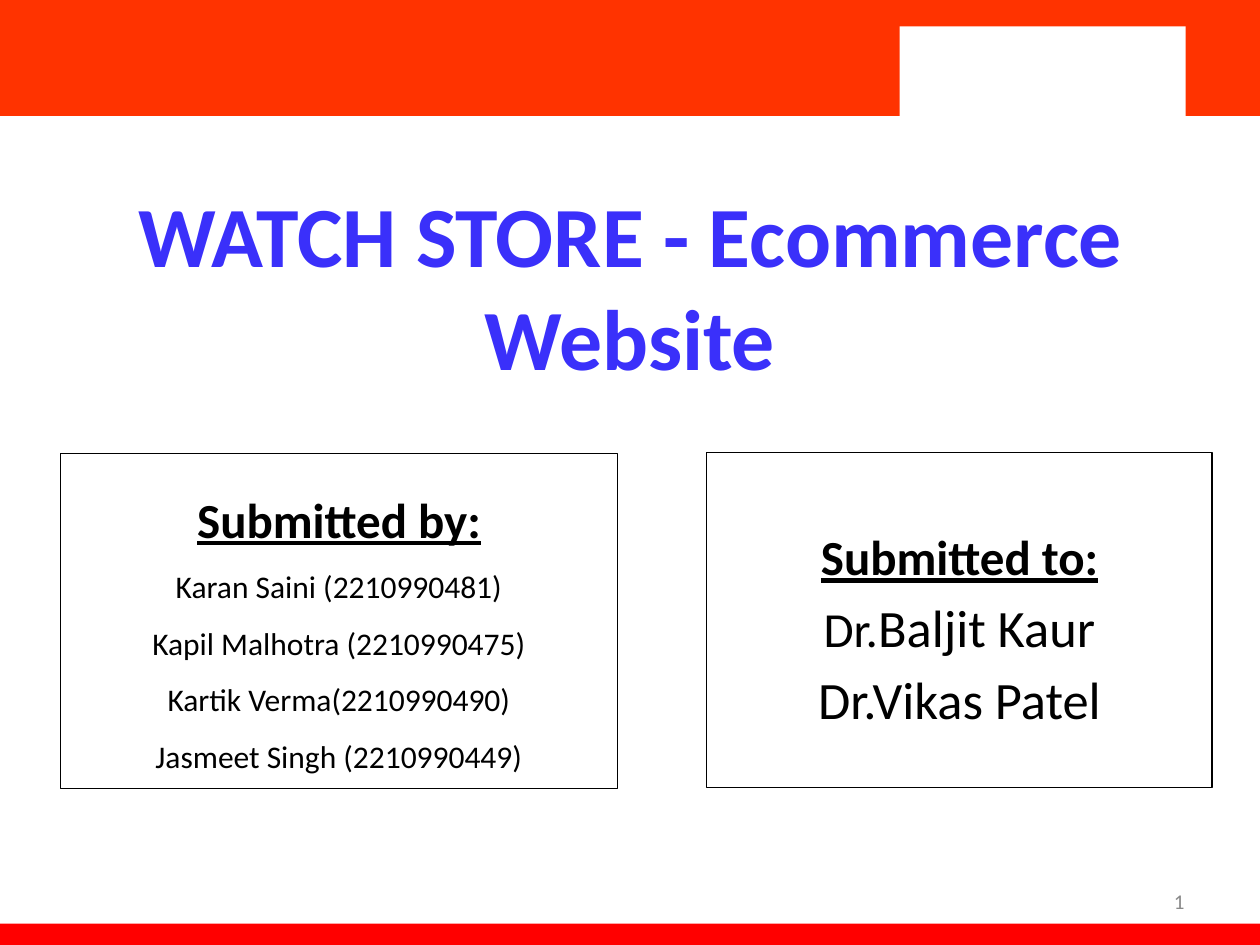
from dataclasses import dataclass

import pptx
import pptx.dml.color
import pptx.enum.shapes
import pptx.enum.text
import pptx.oxml
import pptx.util

RGBColor = pptx.dml.color.RGBColor
Align = pptx.enum.text.PP_ALIGN
Anchor = pptx.enum.text.MSO_ANCHOR

PX = 9144  # 100 px to the inch
FONT = "Calibri"
ORANGE = RGBColor(0xFF, 0x33, 0x00)
RED = RGBColor(0xFF, 0x00, 0x00)
WHITE = RGBColor(0xFF, 0xFF, 0xFF)
BLACK = RGBColor(0x00, 0x00, 0x00)
BLUE = RGBColor(0x3A, 0x30, 0xFA)
GRAY = RGBColor(0x89, 0x89, 0x89)


@dataclass(frozen=True)
class Box:
    left: int
    top: int
    width: int
    height: int

    def emu(self) -> list[int]:
        return [n * PX for n in (self.left, self.top, self.width, self.height)]


@dataclass(frozen=True)
class Band:
    box: Box
    color: RGBColor


@dataclass(frozen=True)
class Line:
    text: str
    size: int
    head: bool = False
    lead: str = ""  # opening words, set at lead_size
    lead_size: int = 28


@dataclass(frozen=True)
class Panel:
    box: Box
    inset: int
    spacing: float
    lines: list[Line]


BANDS = [
    Band(Box(0, 0, 1000, 92), ORANGE),
    Band(Box(0, 733, 1000, 17), RED),
    Band(Box(714, 21, 227, 75), WHITE),
]
PANELS = [
    Panel(Box(48, 360, 442, 266), 5, 1.5, [
        Line("Submitted by:", 28, head=True),
        Line("Karan Saini (2210990481)", 18),
        Line("Kapil Malhotra (2210990475)", 18),
        Line("Kartik Verma(2210990490)", 18),
        Line("Jasmeet Singh (2210990449)", 18),
    ]),
    Panel(Box(561, 359, 401, 266), 52, 1.15, [
        Line("Submitted to:", 28, head=True),
        Line("Baljit Kaur", 30, lead="Dr."),
        Line("Dr.Vikas Patel", 30),
    ]),
]


def style(font, size: int, color: RGBColor, bold: bool = False) -> None:
    font.name = FONT
    font.size = pptx.util.Pt(size)
    font.color.rgb = color
    font.bold = bold


def add_rect(slide, box: Box):
    rect = slide.shapes.add_shape(
        pptx.enum.shapes.MSO_SHAPE.RECTANGLE, *box.emu())
    rect.shadow.inherit = False
    return rect


def draw_band(slide, band: Band) -> None:
    rect = add_rect(slide, band.box)
    rect.fill.solid()
    rect.fill.fore_color.rgb = band.color
    rect.line.fill.background()


def draw_panel(slide, panel: Panel) -> None:
    rect = add_rect(slide, panel.box)
    rect.fill.background()
    rect.line.color.rgb = BLACK
    rect.line.width = pptx.util.Pt(0.75)
    frame = rect.text_frame
    frame.word_wrap = True
    frame.vertical_anchor = Anchor.TOP
    frame.margin_top = panel.inset * PX
    for i, line in enumerate(panel.lines):
        para = frame.add_paragraph() if i else frame.paragraphs[0]
        para.alignment = Align.CENTER
        para.line_spacing = panel.spacing
        style(para.font, line.size, BLACK, line.head)
        para.font.underline = line.head
        if line.lead:
            lead = para.add_run()
            lead.text = line.lead
            lead.font.size = pptx.util.Pt(line.lead_size)
        para.add_run().text = line.text


def set_title(slide, text: str, box: Box) -> None:
    title = slide.shapes.title
    title.left, title.top, title.width, title.height = box.emu()
    frame = title.text_frame
    frame.text = text
    frame.word_wrap = True
    frame.auto_size = pptx.enum.text.MSO_AUTO_SIZE.NONE
    frame.vertical_anchor = Anchor.MIDDLE
    para = frame.paragraphs[0]
    para.alignment = Align.CENTER
    style(para.font, 49, BLUE, bold=True)


def add_number(slide, box: Box) -> None:
    """Add a slide number that updates itself."""
    frame = slide.shapes.add_textbox(*box.emu()).text_frame
    frame.word_wrap = True
    frame.vertical_anchor = Anchor.MIDDLE
    para = frame.paragraphs[0]
    para.alignment = Align.RIGHT
    run = para.add_run()
    run.text = "1"
    style(run.font, 12, GRAY)
    field = pptx.oxml.parse_xml(
        '<a:fld xmlns:a="http://schemas.openxmlformats.org/drawingml/2006/main"'
        ' id="{B6F15528-21DE-4FAA-801E-634DDDAF4B2B}" type="slidenum"/>')
    field.extend(list(run._r))
    para._p.replace(run._r, field)


def main() -> None:
    deck = pptx.Presentation()
    deck.slide_width, deck.slide_height = 1000 * PX, 750 * PX
    slide = deck.slides.add_slide(deck.slide_layouts[5])
    for band in BANDS:
        draw_band(slide, band)
    set_title(slide, "WATCH STORE - Ecommerce Website", Box(50, 116, 900, 220))
    for panel in PANELS:
        draw_panel(slide, panel)
    add_number(slide, Box(717, 695, 233, 40))
    deck.save("out.pptx")


if __name__ == "__main__":
    main()
